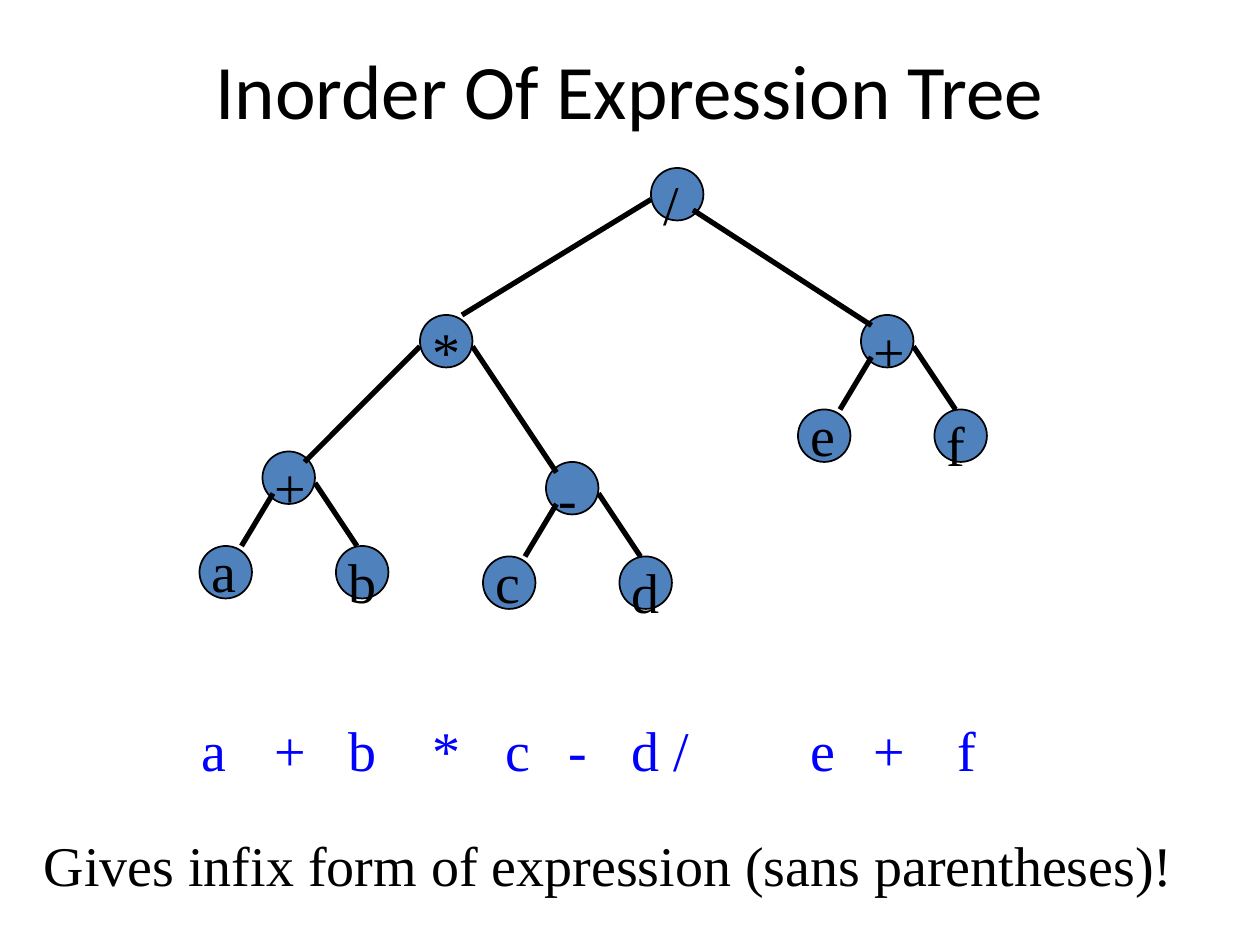
from dataclasses import dataclass

from lxml.etree import SubElement
from pptx import Presentation
from pptx.dml.color import RGBColor
from pptx.enum.shapes import MSO_CONNECTOR, MSO_SHAPE
from pptx.enum.text import MSO_ANCHOR, PP_ALIGN
from pptx.oxml.ns import qn
from pptx.slide import Slide
from pptx.util import Cm, Pt


@dataclass(frozen=True)
class Theme:
    ink: RGBColor = RGBColor(0, 0, 0)
    node: RGBColor = RGBColor(0x4F, 0x81, 0xBD)
    output: RGBColor = RGBColor(0, 0, 0xFF)
    title_font: str = "Calibri"
    body_font: str = "Times New Roman"
    title_size: Pt = Pt(44)
    body_size: Pt = Pt(32)
    outline: Pt = Pt(1)
    edge: Pt = Pt(3)


@dataclass(frozen=True)
class Node:
    label: str
    col: int
    row: int
    label_rise: int = 1


@dataclass(frozen=True)
class Edge:
    x1: int
    y1: int
    x2: int
    y2: int


@dataclass(frozen=True)
class Subtree:
    """An operator with two leaf operands."""
    operator: str
    left: str
    right: str
    col: int
    row: int


THEME = Theme()
NODE_SIZE = 5
LABEL_HEIGHT = 7.7

SUBTREES = [
    Subtree("+", "a", "b", 25, 43),
    Subtree("-", "c", "d", 52, 44),
    Subtree("+", "e", "f", 82, 30),
]
TOP_NODES = [Node("*", 40, 30), Node("/", 62, 16)]
TOP_EDGES = [
    Edge(40, 33, 29, 44),
    Edge(45, 33, 53, 45),
    Edge(62, 19, 44, 30),
    Edge(66, 20, 83, 31),
]
OUTPUT_ROW = 67
OUTPUT = [("a", 18), ("+", 25), ("b", 32), ("*", 40), ("c", 47), ("-", 53),
          ("d", 59), ("/", 63), ("e", 76), ("+", 82), ("f", 90)]


def grid(n: float) -> Cm:
    """The slide is laid out on twelfths of an inch."""
    return Cm(n * 2.54 / 12)


def add_text(s: Slide, text: str, col: float, row: float, width: float,
             color: RGBColor = THEME.ink) -> None:
    tb = s.shapes.add_textbox(grid(col), grid(row), grid(width), grid(LABEL_HEIGHT))
    tf = tb.text_frame
    tf.word_wrap = True
    tf.margin_top, tf.margin_bottom = Cm(0.24), Cm(0.08)
    p = tf.paragraphs[0]
    p.text = text
    p.font.name, p.font.size = THEME.body_font, THEME.body_size
    p.font.color.rgb = color


def add_node(s: Slide, node: Node) -> None:
    sp = s.shapes.add_shape(MSO_SHAPE.OVAL, grid(node.col), grid(node.row),
                            grid(NODE_SIZE), grid(NODE_SIZE))
    sp.shadow.inherit = False
    sp.fill.solid()
    sp.fill.fore_color.rgb = THEME.node
    sp.line.color.rgb = THEME.ink
    sp.line.width = THEME.outline
    add_text(s, node.label, node.col, node.row - node.label_rise, NODE_SIZE)


def add_edge(s: Slide, edge: Edge) -> None:
    cx = s.shapes.add_connector(MSO_CONNECTOR.STRAIGHT, grid(edge.x1), grid(edge.y1),
                                grid(edge.x2), grid(edge.y2))
    cx.line.color.rgb = THEME.ink
    cx.line.width = THEME.edge
    SubElement(cx._element.spPr, qn("a:effectLst"))


def add_subtree(s: Slide, tree: Subtree) -> None:
    c, r = tree.col, tree.row
    add_node(s, Node(tree.operator, c, r))
    add_node(s, Node(tree.left, c - 6, r + 9, label_rise=2))
    add_node(s, Node(tree.right, c + 7, r + 9))
    add_edge(s, Edge(c + 1, r + 4, c - 2, r + 9))
    add_edge(s, Edge(c + 5, r + 3, c + 9, r + 9))


def add_title(s: Slide, text: str) -> None:
    tb = s.shapes.add_textbox(grid(9), grid(2), grid(102), grid(13))
    tf = tb.text_frame
    tf.word_wrap = True
    tf.vertical_anchor = MSO_ANCHOR.MIDDLE
    p = tf.paragraphs[0]
    p.text = text
    p.alignment = PP_ALIGN.CENTER
    p.font.name, p.font.size = THEME.title_font, THEME.title_size
    p.font.color.rgb = THEME.ink


def main() -> None:
    prs = Presentation()
    prs.slide_width, prs.slide_height = Cm(25.4), Cm(19.05)
    s = prs.slides.add_slide(prs.slide_layouts[6])

    add_title(s, "Inorder Of Expression Tree")

    # Expression tree
    for tree in SUBTREES:
        add_subtree(s, tree)
    for node in TOP_NODES:
        add_node(s, node)
    for edge in TOP_EDGES:
        add_edge(s, edge)

    # Inorder output, each symbol below its node
    for symbol, col in OUTPUT:
        add_text(s, symbol, col, OUTPUT_ROW, NODE_SIZE, THEME.output)

    # Conclusion
    add_text(s, "Gives infix form of expression (sans parentheses)!", 3, 78, 113)

    prs.save("out.pptx")


if __name__ == "__main__":
    main()
